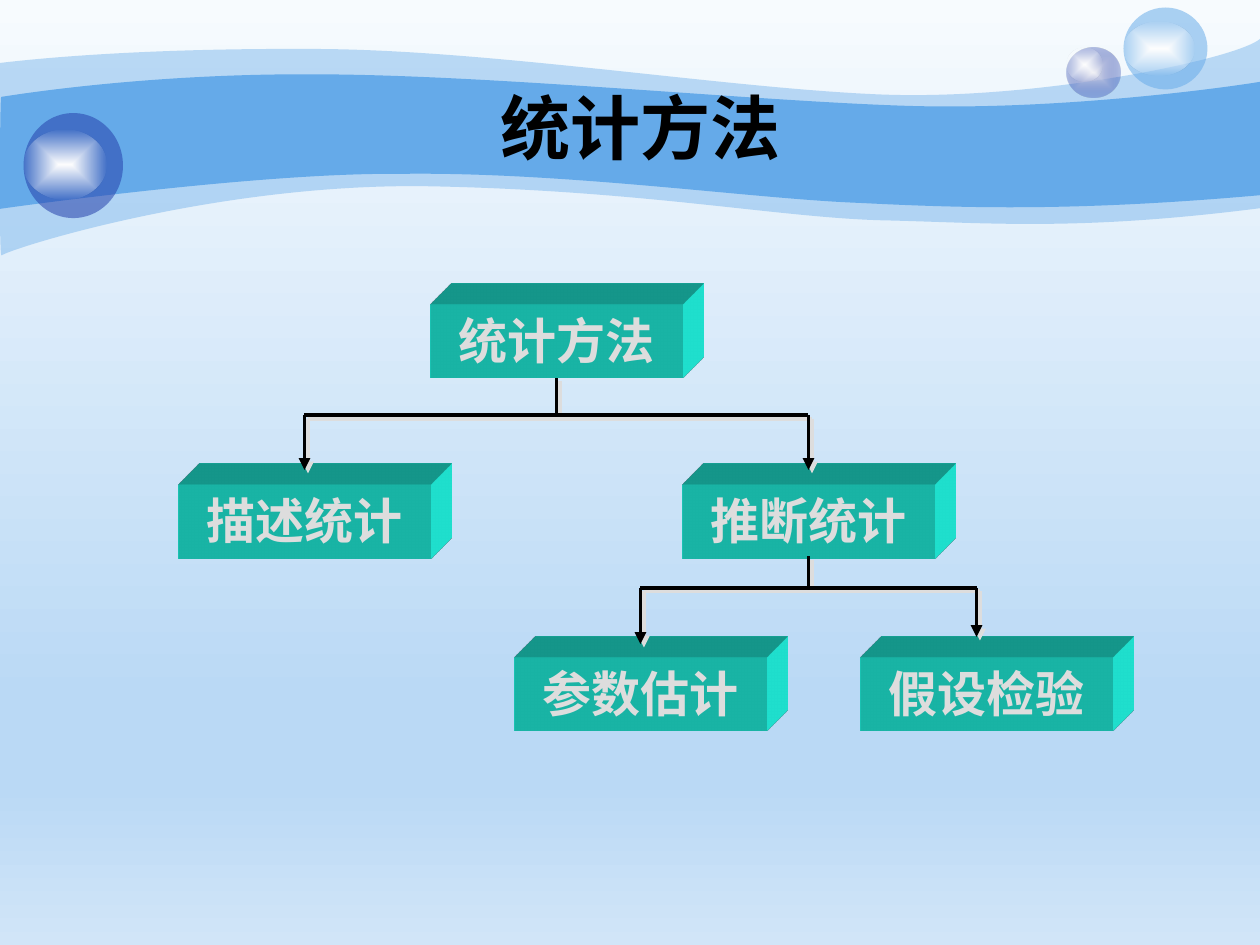
from lxml import etree
from pptx import Presentation
from pptx import util as u
from pptx.dml.color import RGBColor
from pptx.enum import shapes as s, text as t
from pptx.oxml.ns import qn

Pt = u.Pt

THEME = dict(
    font="Arial", title_size=40, box_size=28,
    black="000000", box="23FFEA", box_text="DDDDDD", shadow="DDDDDD",
    sky="65AAE9", navy="233DA9",
    background=[(0, "F7FBFE", 100), (74, "BAD9F5", 100),
                (83, "BAD9F5", 100), (100, "D1E5F8", 100)],
    pearl=[(0, "E1E2ED", 100), (100, "233DA9", 31)],
    gleam=[(0, "FFFFFF", 100), (100, "FFFFFF", 0)],
)

# Content: lengths in points
TITLE = ("统计方法", 105, 27.4, 522, 90)
BOX_WIDTH, BOX_HEIGHT, DEPTH = 144, 42, 33.87
BOXES = [("统计方法", 246, 174), ("描述统计", 102, 277), ("推断统计", 390, 277),
         ("参数估计", 294, 375.8), ("假设检验", 491.8, 375.8)]
# Branches: trunk x, trunk top, bar y, arrow tips
BRANCHES = [(318, 216, 237.3, [(174, 268.5), (462, 268.5)]),
            (462, 318, 336, [(366, 368), (558, 364)])]
# Waves: start, then one point for a straight edge or three for a curve
WAVES = [
    (41, (0, 36), [
        [(17, 34), (77, 27.5), (178, 28)], [(278, 28), (414, 50.4), (503, 54)],
        [(592, 57.6), (706, 34), (720, 22.3)], [(720, 119)],
        [(618, 132), (567, 127.5), (508, 126)], [(448, 125), (371, 109), (247, 106.5)],
        [(124, 104), (3, 143), (1, 146)], [(-0.7, 150), (0, 54), (0, 36)]]),
    (100, (0.7, 55.4), [
        [(1.4, 55.4), (79, 42), (178.5, 42.5)], [(278, 42.5), (428, 57.6), (517, 60.5)],
        [(605.5, 63.4), (703, 49.7), (720, 46.8)], [(720, 111.6)],
        [(614, 121), (551, 119), (491, 116)], [(431, 113.8), (322, 98), (228, 99.4)],
        [(146, 98.6), (-1.4, 119.5), (-0.7, 119.5)], [(0, 119.5), (0, 55.4), (0.7, 55.4)]]),
]
# Bubbles: body and gleam, each left, top, width, height, fill
BUBBLES = [
    [(609.8, 27, 30.5, 29), THEME["pearl"], (609.8, 27.4, 20, 19.4)],
    [(642, 4.3, 48, 46.8), ("sky", 53), (642, 12.2, 40.3, 31)],
    [(13.5, 64.6, 56.8, 60), ("navy", 53), (13.5, 74, 47.5, 40.3)],
]


def rgb(name):
    return RGBColor.from_string(THEME[name])


def add_color(parent, value, opacity=100):
    color = etree.SubElement(parent, qn("a:srgbClr"), val=value)
    if opacity < 100:
        etree.SubElement(color, qn("a:alpha"), val=str(opacity * 1000))


def paint(shape, name, opacity=100):
    shape.shadow.inherit = False
    shape.line.fill.background()
    shape.fill.solid()
    shape.fill.fore_color.rgb = rgb(name)
    if opacity < 100:
        color = shape._element.spPr.find(".//" + qn("a:srgbClr"))
        etree.SubElement(color, qn("a:alpha"), val=str(opacity * 1000))


def paint_gradient(owner, fill, stops, radial):
    fill.gradient()
    gradient = owner._element.find(".//" + qn("a:gradFill"))
    for child in list(gradient):
        gradient.remove(child)
    stop_list = etree.SubElement(gradient, qn("a:gsLst"))
    for position, value, opacity in stops:
        stop = etree.SubElement(stop_list, qn("a:gs"), pos=str(position * 1000))
        add_color(stop, value, opacity)
    if radial:
        center = etree.SubElement(gradient, qn("a:path"), path="shape")
        etree.SubElement(center, qn("a:fillToRect"), l="50000", t="50000", r="50000", b="50000")
    else:
        etree.SubElement(gradient, qn("a:lin"), ang="5400000", scaled="0")


def add_wave(opacity, start, steps):
    corners = [(Pt(x), Pt(y)) for x, y in [start] + [step[-1] for step in steps]]
    builder = slide.shapes.build_freeform(*corners[0])
    builder.add_line_segments(corners[1:], close=True)
    wave = builder.convert_to_shape()
    paint(wave, "sky", opacity)
    # Turn the straight edges into curves
    outline = wave._element.find(".//" + qn("a:path"))
    edges = outline.findall(qn("a:lnTo"))
    for edge, step in zip(edges, steps):
        if len(step) == 3:
            curve = etree.Element(qn("a:cubicBezTo"))
            for x, y in step:
                etree.SubElement(curve, qn("a:pt"), x=str(Pt(x) - wave.left),
                                 y=str(Pt(y) - wave.top))
            outline.replace(edge, curve)


def add_oval(group, bounds, look):
    oval = group.shapes.add_shape(s.MSO_SHAPE.OVAL, *map(Pt, bounds))
    if isinstance(look, tuple):
        paint(oval, *look)
    else:
        oval.shadow.inherit = False
        oval.line.fill.background()
        paint_gradient(oval, oval.fill, look, radial=True)


def style_text(paragraph, size, color):
    paragraph.alignment = t.PP_ALIGN.CENTER
    paragraph.font.name = THEME["font"]
    paragraph.font.size = Pt(size)
    paragraph.font.bold = True
    paragraph.font.color.rgb = rgb(color)


def extrude(shape):
    properties = shape._element.spPr
    scene = etree.SubElement(properties, qn("a:scene3d"))
    etree.SubElement(scene, qn("a:camera"), prst="legacyObliqueTopRight")
    etree.SubElement(scene, qn("a:lightRig"), rig="legacyFlat3", dir="b")
    solid = etree.SubElement(properties, qn("a:sp3d"), extrusionH=str(Pt(DEPTH)),
                             prstMaterial="legacyMatte")
    for bevel in ("a:bevelT", "a:bevelB"):
        etree.SubElement(solid, qn(bevel), w="13500", h="13500", prst="angle")
    add_color(etree.SubElement(solid, qn("a:extrusionClr")), THEME["box"])


def add_box(label, left, top):
    box = tree.shapes.add_shape(s.MSO_SHAPE.RECTANGLE, Pt(left), Pt(top),
                                Pt(BOX_WIDTH), Pt(BOX_HEIGHT))
    paint(box, "box")
    extrude(box)
    frame = box.text_frame
    frame.text = label
    frame.vertical_anchor = t.MSO_ANCHOR.MIDDLE
    frame.margin_top, frame.margin_bottom = 0, Pt(2)
    style_text(frame.paragraphs[0], THEME["box_size"], "box_text")


def add_line(x1, y1, x2, y2, arrow=False):
    line = tree.shapes.add_connector(s.MSO_CONNECTOR.STRAIGHT, Pt(x1), Pt(y1), Pt(x2), Pt(y2))
    line.line.color.rgb = rgb("black")
    line.line.width = Pt(2.25)
    if arrow:
        etree.SubElement(line.line._get_or_add_ln(), qn("a:tailEnd"), type="triangle")
    effects = etree.SubElement(line._element.spPr, qn("a:effectLst"))
    shadow = etree.SubElement(effects, qn("a:outerShdw"), dist=str(Pt(2.8)), dir="2700000",
                              algn="ctr", rotWithShape="0")
    add_color(shadow, THEME["shadow"])


presentation = Presentation()
presentation.slide_width, presentation.slide_height = Pt(720), Pt(540)
slide = presentation.slides.add_slide(presentation.slide_layouts[5])
paint_gradient(slide, slide.background.fill, THEME["background"], radial=False)

# Waves and bubbles
for wave_content in WAVES:
    add_wave(*wave_content)
for body, look, gleam in BUBBLES:
    bubble = slide.shapes.add_group_shape()
    add_oval(bubble, body, look)
    add_oval(bubble, gleam, THEME["gleam"])

# Title, in front of the waves
title = slide.shapes.title
slide.shapes._spTree.append(title._element)
title.text_frame.text = TITLE[0]
title.left, title.top, title.width, title.height = map(Pt, TITLE[1:])
title.text_frame.vertical_anchor = t.MSO_ANCHOR.MIDDLE
style_text(title.text_frame.paragraphs[0], THEME["title_size"], "black")

# Tree of methods
tree = slide.shapes.add_group_shape()
for box_content in BOXES:
    add_box(*box_content)
for trunk_x, trunk_top, bar_y, tips in BRANCHES:
    add_line(trunk_x, trunk_top, trunk_x, bar_y)
    add_line(tips[0][0], bar_y, tips[-1][0], bar_y)
    for tip_x, tip_y in tips:
        add_line(tip_x, bar_y, tip_x, tip_y, arrow=True)

presentation.save("out.pptx")
